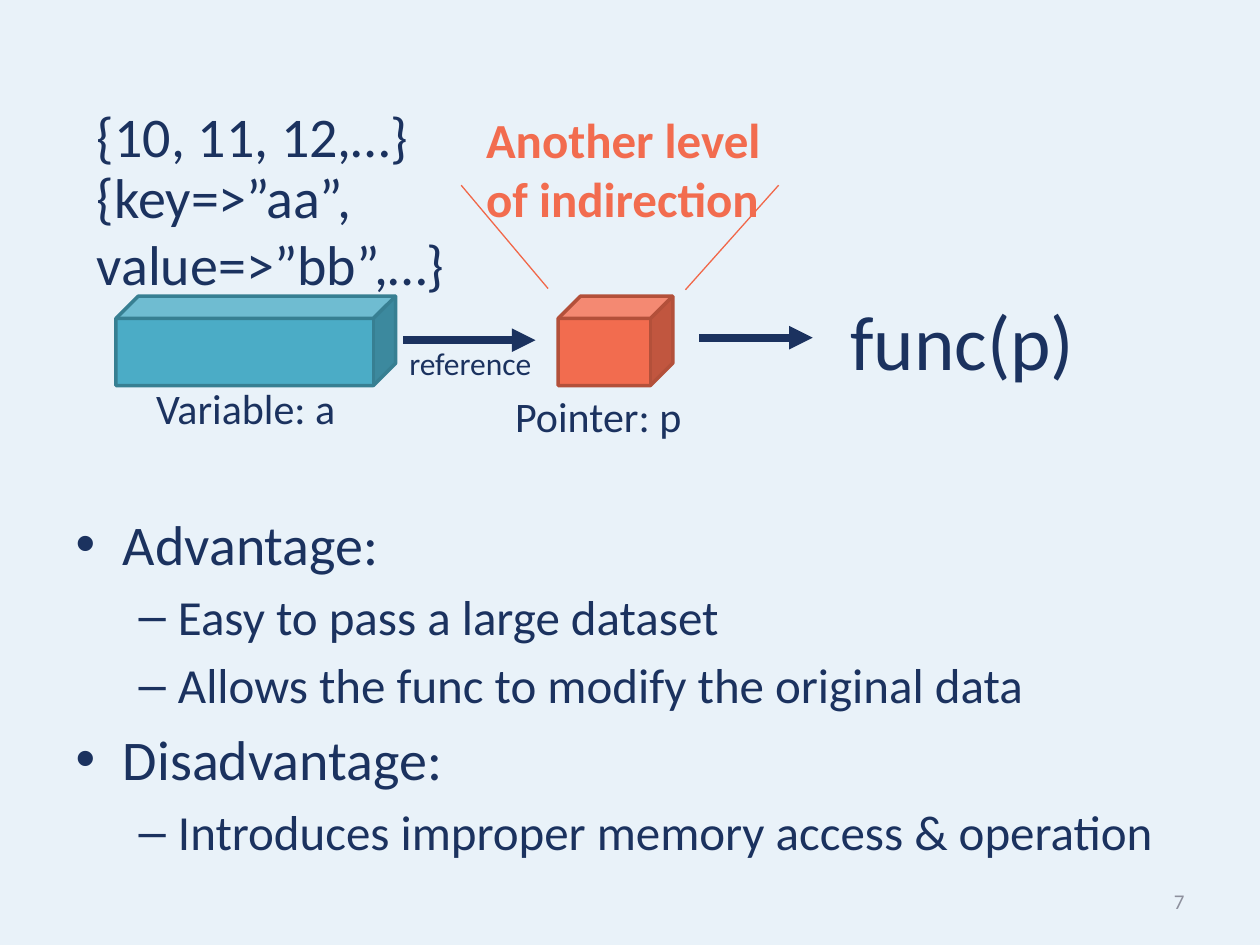
from dataclasses import dataclass

from lxml import etree
from pptx import Presentation
from pptx.dml.color import RGBColor
from pptx.enum.shapes import MSO_CONNECTOR, MSO_SHAPE
from pptx.enum.text import MSO_ANCHOR, MSO_AUTO_SIZE, PP_ALIGN
from pptx.oxml.ns import qn
from pptx.util import Inches, Pt

CUBE = MSO_SHAPE.CUBE
LINE = MSO_CONNECTOR.STRAIGHT
GROW = MSO_AUTO_SIZE.SHAPE_TO_FIT_TEXT
FIXED = MSO_AUTO_SIZE.NONE
MIDDLE = MSO_ANCHOR.MIDDLE
RIGHT = PP_ALIGN.RIGHT


@dataclass(frozen=True)
class Theme:
    font: str = "Calibri"
    back: str = "E9F2F9"
    ink: str = "1B325F"
    muted: str = "8D909D"
    teal: str = "4BACC6"
    teal_edge: str = "377F92"
    coral: str = "F26C4F"
    coral_edge: str = "B3503A"
    ray: str = "F16749"
    func: int = 44
    head: int = 32
    sub: int = 28
    label: int = 24
    note: int = 18
    page: int = 12


THEME = Theme()

POINTS = [
    (0, "Advantage:"),
    (1, "Easy to pass a large dataset"),
    (1, "Allows the func to modify the original data"),
    (0, "Disadvantage:"),
    (1, "Introduces improper memory access & operation"),
]


def rgb(color):
    return RGBColor.from_string(color)


def place(shape, box):
    for name, value in zip(("left", "top", "width", "height"), box):
        setattr(shape, name, Inches(value))


def style(font, size, color=THEME.ink, bold=False):
    values = {"name": THEME.font, "size": Pt(size), "bold": bold}
    for name, value in values.items():
        setattr(font, name, value)
    font.color.rgb = rgb(color)


def add_text(slide, text, box, size, color=THEME.ink, bold=False, **frame):
    shape = slide.shapes.add_textbox(*map(Inches, box))
    values = {"word_wrap": True, "auto_size": GROW, **frame}
    for name, value in values.items():
        setattr(shape.text_frame, name, value)
    para = shape.text_frame.paragraphs[0]
    para.text = text
    style(para.font, size, color, bold)
    return para


def add_cube(slide, box, fill, edge):
    cube = slide.shapes.add_shape(CUBE, *map(Inches, box))
    cube.shadow.inherit = False
    cube.fill.solid()
    cube.fill.fore_color.rgb = rgb(fill)
    cube.line.color.rgb = rgb(edge)
    cube.line.width = Pt(2)


def add_line(slide, start, end, color, width):
    line = slide.shapes.add_connector(LINE, *map(Inches, start + end))
    line.line.color.rgb = rgb(color)
    line.line.width = Pt(width)
    etree.SubElement(line._element.spPr, qn("a:effectLst"))
    return line


def add_arrow(slide, left, right, y):
    arrow = add_line(slide, (left, y), (right, y), THEME.ink, 4.5)
    etree.SubElement(arrow.line._get_or_add_ln(), qn("a:tailEnd"), type="triangle")


def fill_list(body, points):
    """Bullets, indents and spacing come from the template's body levels."""
    place(body, (0.5, 3.99, 9.5, 3.15))
    frame = body.text_frame
    frame.auto_size = FIXED
    for i, (level, text) in enumerate(points):
        para = frame.add_paragraph() if i else frame.paragraphs[0]
        para.text = text
        para.level = level
        style(para.font, THEME.sub if level else THEME.head)
    frame.paragraphs[0].space_before = Pt(0)


def draw_flow(slide):
    add_cube(slide, (0.92, 2.35, 2.22, 0.71), THEME.teal, THEME.teal_edge)
    add_cube(slide, (4.43, 2.35, 0.91, 0.71), THEME.coral, THEME.coral_edge)
    add_arrow(slide, 3.2, 4.25, 2.7)
    add_arrow(slide, 5.55, 6.45, 2.68)

    add_text(slide, "{10, 11, 12,…}", (0.67, 0.76, 2.79, 0.64), THEME.head)
    add_text(slide, "{key=>”aa”, value=>”bb”,…}", (0.67, 1.24, 3.01, 1.18), THEME.head)
    add_text(slide, "Variable: a", (1.14, 2.99, 1.64, 0.5), THEME.label, word_wrap=False)
    add_text(slide, "Pointer: p", (3.99, 3.05, 1.53, 0.5), THEME.label, word_wrap=False)
    add_text(slide, "reference", (3.15, 2.68, 1.43, 0.4), THEME.note)
    add_text(slide, "func(p)", (6.65, 2.28, 2.83, 0.84), THEME.func)


def draw_callout(slide):
    add_line(slide, (3.66, 1.47), (4.35, 2.29), THEME.ray, 0.75)
    add_line(slide, (6.18, 1.47), (5.44, 2.3), THEME.ray, 0.75)
    add_text(slide, "Another level of indirection", (3.76, 0.82, 2.55, 1.04),
             THEME.sub, THEME.coral, bold=True)


def main():
    deck = Presentation()
    deck.slide_width, deck.slide_height = Inches(10), Inches(7.5)
    slide = deck.slides.add_slide(deck.slide_layouts[1])
    slide.background.fill.solid()
    slide.background.fill.fore_color.rgb = rgb(THEME.back)

    title = slide.shapes.title.element
    title.getparent().remove(title)
    fill_list(slide.placeholders[1], POINTS)
    draw_flow(slide)
    draw_callout(slide)
    page = add_text(slide, "7", (7.17, 6.95, 2.33, 0.4), THEME.page, THEME.muted,
                    auto_size=FIXED, vertical_anchor=MIDDLE)
    page.alignment = RIGHT
    deck.save("out.pptx")


if __name__ == "__main__":
    main()
